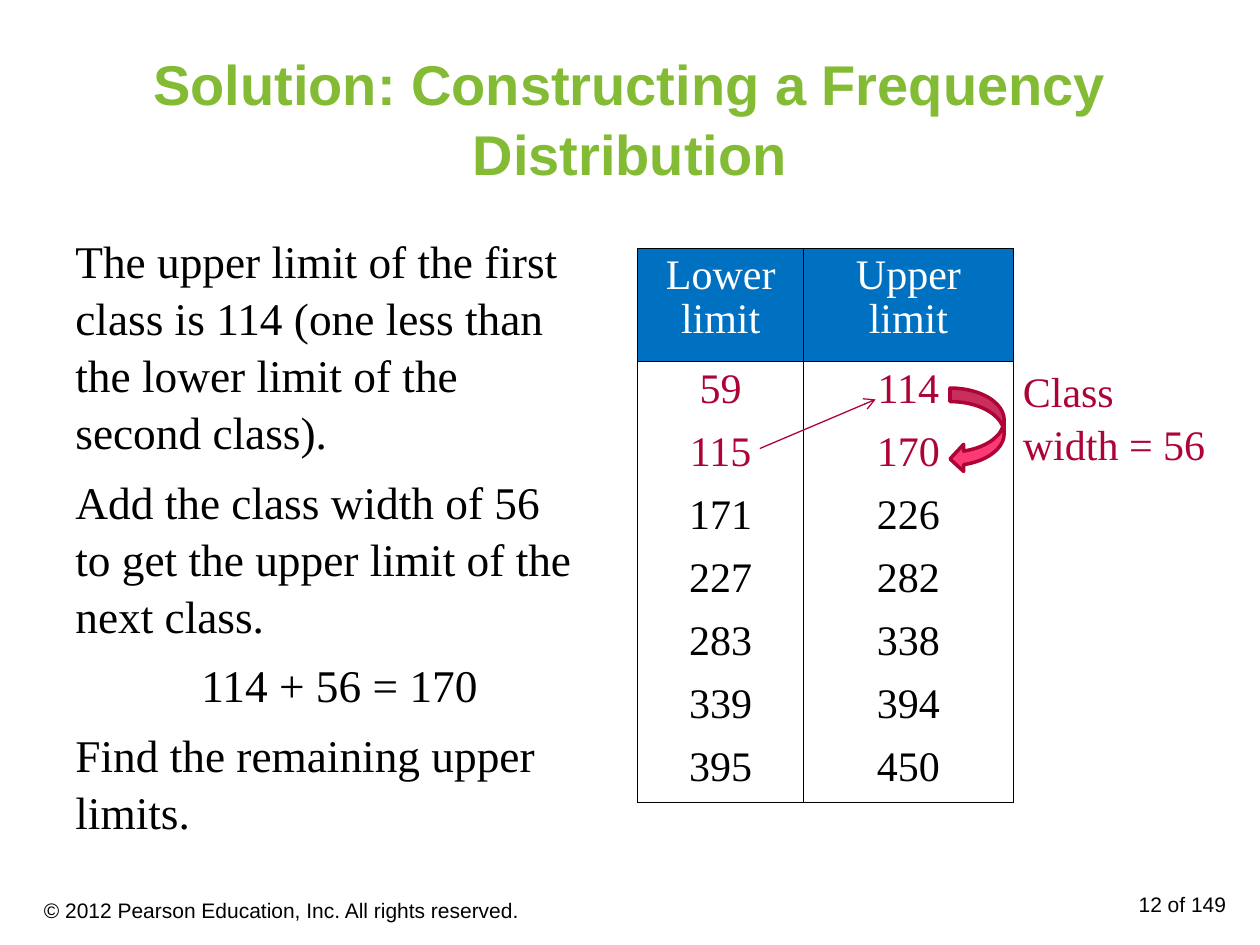
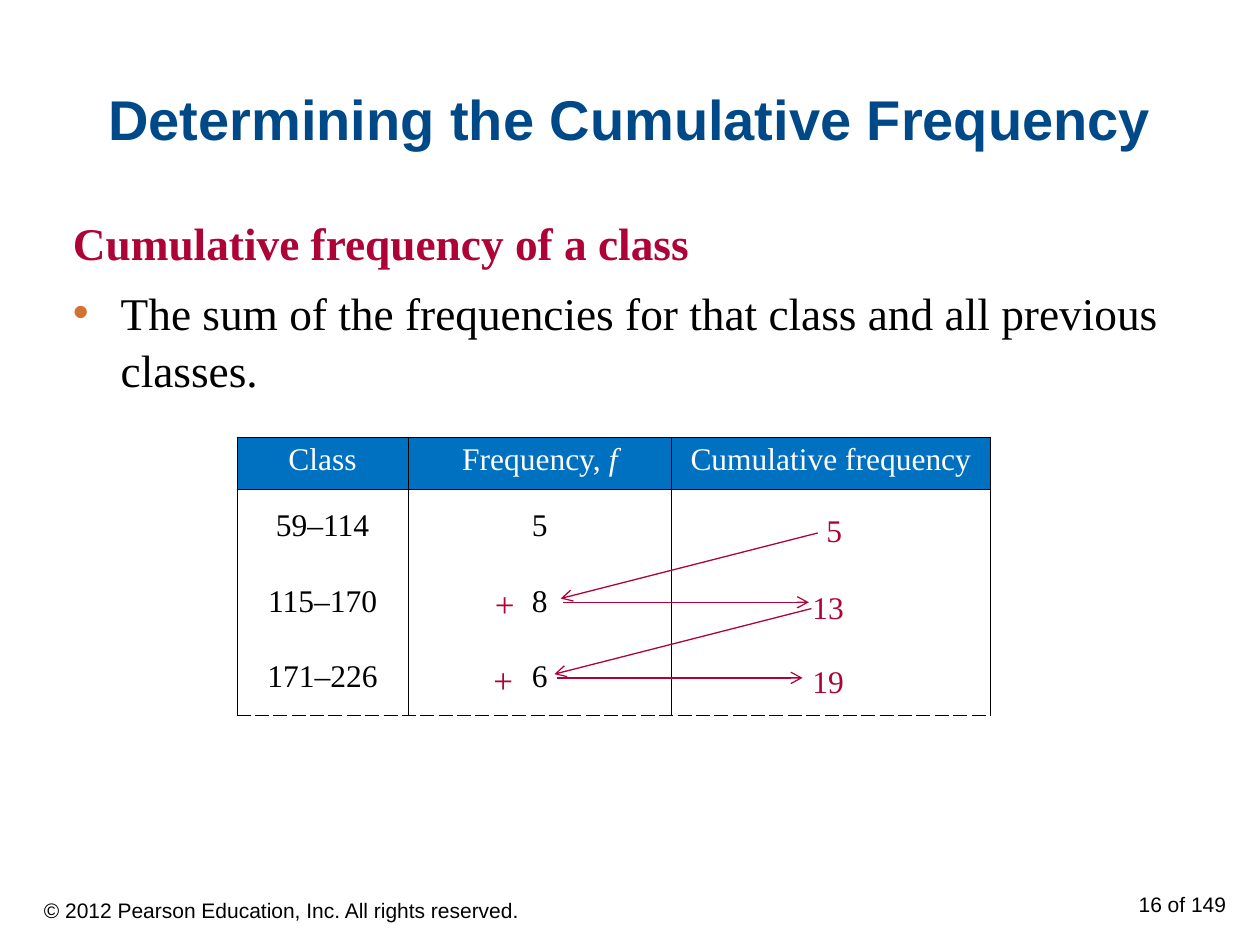
from lxml.etree import SubElement as Sub
from pptx import Presentation
from pptx.dml.color import RGBColor as Rgb
from pptx.enum.shapes import MSO_CONNECTOR as Conn, MSO_SHAPE as Kind
from pptx.enum.text import MSO_ANCHOR as Anchor, PP_ALIGN as Align
from pptx.oxml.ns import qn
from pptx.util import Inches, Pt

HUES = {
    "green": "83BB35", "navy": "004988", "blue": "0070C0", "red": "AE0337",
    "pink": "FC3B75", "rust": "D17230", "black": "000000", "white": "FFFFFF",
}
SANS, SERIF = "Arial", "Times New Roman"
BODY, RULE, LEAD = 25.9, 0.45, 1.05


def hue(name):
    """Return the named colour."""
    return Rgb.from_string(HUES[name])


def style(para, size, tint="black", face=SERIF, bold=False, align=Align.LEFT, lead=LEAD):
    """Set the type of one paragraph."""
    para.alignment = align
    para.line_spacing = lead
    font = para.font
    font.name, font.size, font.bold = face, Pt(size), bold
    font.color.rgb = hue(tint)


def frame(slide, left, top, width, height, anchor=Anchor.TOP):
    """Add a wrapping text box and return its text frame."""
    box = slide.shapes.add_textbox(*map(Inches, (left, top, width, height)))
    text = box.text_frame
    text.word_wrap = True
    text.vertical_anchor = anchor
    return text


def label(slide, words, place, size, tint="red", anchor=Anchor.TOP, **looks):
    """Add a box that holds one paragraph."""
    text = frame(slide, *place, anchor)
    text.text = words
    style(text.paragraphs[0], size, tint, **looks)


def indent(para, left, first=0):
    """Set the left margin and first-line indent."""
    props = para._p.get_or_add_pPr()
    props.set("marL", str(Inches(left)))
    props.set("indent", str(Inches(first)))


def bullet(para):
    """Give a paragraph a round bullet."""
    indent(para, 0.38, -0.38)
    props = para._p.get_or_add_pPr()
    Sub(Sub(props, qn("a:buClr")), qn("a:srgbClr"), val=HUES["rust"])
    Sub(props, qn("a:buFont"), typeface=SANS)
    Sub(props, qn("a:buChar"), char="•")


def body(slide, place, lines):
    """Add the body paragraphs and return them."""
    text = frame(slide, *place)
    text.text = "\n".join(lines)
    for para in text.paragraphs[1:]:
        para.space_before = Pt(7)
    return text.paragraphs


def edge(cell, side, dash="solid", shown=True):
    """Draw or hide one border of a cell."""
    line = Sub(cell._tc.get_or_add_tcPr(), qn(f"a:ln{side}"), w=str(Pt(RULE)))
    if shown:
        Sub(Sub(line, qn("a:solidFill")), qn("a:srgbClr"), val=HUES["black"])
        Sub(line, qn("a:prstDash"), val=dash)
    else:
        Sub(line, qn("a:noFill"))


def grid(slide, left, top, cols, highs, rows, size, anchor=Anchor.TOP, dash="solid", hot=()):
    """Add a table with a blue head and open rows."""
    area = map(Inches, (left, top, sum(cols), sum(highs)))
    table = slide.shapes.add_table(len(rows), len(cols), *area).table
    table.first_row = table.horz_banding = False
    for col, width in zip(table.columns, cols):
        col.width = Inches(width)
    last = len(rows) - 1
    for r, (row, high) in enumerate(zip(rows, highs)):
        table.rows[r].height = Inches(high)
        for c, words in enumerate(row):
            cell = table.cell(r, c)
            edge(cell, "L")
            edge(cell, "R")
            edge(cell, "T", shown=r < 2)
            edge(cell, "B", dash if r == last else "solid", r in (0, last))
            cell.text = words
            tint = "red" if r in hot else "black"
            if r:
                cell.fill.background()
                cell.vertical_anchor = anchor
            else:
                cell.fill.solid()
                cell.fill.fore_color.rgb = hue("blue")
                tint = "white"
            style(cell.text_frame.paragraphs[0], size, tint, align=Align.CENTER, lead=0.95)
    return table


def arrow(slide, *ends):
    """Draw a thin red arrow between two points."""
    link = slide.shapes.add_connector(Conn.STRAIGHT, *map(Inches, ends))
    link.line.color.rgb = hue("red")
    link.line.width = Pt(0.75)
    Sub(link.line._get_or_add_ln(), qn("a:tailEnd"), type="arrow")
    Sub(link._element.spPr, qn("a:effectLst"))


def curl(slide, *place):
    """Draw the curved arrow between two limits."""
    shape = slide.shapes.add_shape(Kind.CURVED_LEFT_ARROW, *map(Inches, place))
    shape.shadow.inherit = False
    shape.fill.solid()
    shape.fill.fore_color.rgb = hue("pink")
    shape.line.color.rgb = hue("red")
    shape.line.width = Pt(2)


def page(deck, title, tint, num):
    """Add a slide with its title and footers."""
    slide = deck.slides.add_slide(deck.slide_layouts[6])
    label(slide, title, (0.5, 0.3, 9, 1.25), 32, tint, Anchor.MIDDLE,
          face=SANS, bold=True, align=Align.CENTER)
    label(slide, f"{num} of 149", (7.5, 7.02, 2.33, 0.4), 12, "black",
          face=SANS, align=Align.RIGHT)
    label(slide, "© 2012 Pearson Education, Inc. All rights reserved.",
          (0.25, 7.02, 4.75, 0.4), 12, "black", Anchor.MIDDLE, face=SANS)
    return slide


def limits(deck):
    """Build the slide on class limits."""
    slide = page(deck, "Solution: Constructing a Frequency Distribution", "green", 12)
    paras = body(slide, (0.5, 1.78, 4.25, 4.92), [
        "The upper limit of the first class is 114 "
        "(one less than the lower limit of the second class).",
        "Add the class width of 56 to get the upper limit of the next class.",
        "114 + 56 = 170",
        "Find the remaining upper limits.",
    ])
    indent(paras[2], 1)
    for para in paras:
        style(para, BODY)
    step = 56
    rows = [("Lower limit", "Upper limit")]
    rows += [(str(low), str(low + step - 1)) for low in range(59, 396, step)]
    grid(slide, 5.06, 1.97, (1.32, 1.66), [0.9] + [0.5] * 7, rows, 24, hot=(1, 2))
    curl(slide, 7.54, 3.08, 0.43, 0.67)
    label(slide, f"Class width = {step}", (8.02, 2.83, 1.67, 0.9), 24)
    arrow(slide, 6.03, 3.56, 6.95, 3.17)


def totals(deck):
    """Build the slide on cumulative frequency."""
    slide = page(deck, "Determining the Cumulative Frequency", "navy", 16)
    head, point = body(slide, (0.48, 1.64, 9, 1.49), [
        "Cumulative frequency of a class",
        "The sum of the frequencies for that class and all previous classes.",
    ])
    style(head, BODY, "red", bold=True)
    bullet(point)
    style(point, BODY)
    rows = [
        ("Class", "Frequency, ", "Cumulative frequency"),
        ("59–114", "5", ""), ("115–170", "8", ""), ("171–226", "6", ""),
    ]
    table = grid(slide, 1.88, 3.47, (1.36, 2.09, 2.53), [0.41] + [0.6] * 3, rows, 18,
                 Anchor.MIDDLE, "dash")
    run = table.cell(0, 1).text_frame.paragraphs[0].add_run()
    run.text, run.font.italic = "f", True
    for dx, dy in ((0, 0), (-0.05, 0.6)):
        arrow(slide, 6.49 + dx, 4.23 + dy, 4.45 + dx, 4.75 + dy)
        arrow(slide, 4.47 + dx, 4.78 + dy, 6.42 + dx, 4.78 + dy)
        label(slide, "+", (3.83 + dx / 4, 4.56 + dy, 0.43, 0.44), 20)
    for words, left, top in (("5", 6.46, 3.99), ("13", 6.35, 4.6), ("19", 6.35, 5.19)):
        label(slide, words, (left, top, 0.5, 0.4), 18)


def main():
    """Build and save the deck."""
    deck = Presentation()
    deck.slide_width, deck.slide_height = Inches(10), Inches(7.5)
    limits(deck)
    totals(deck)
    deck.save("out.pptx")


if __name__ == "__main__":
    main()
